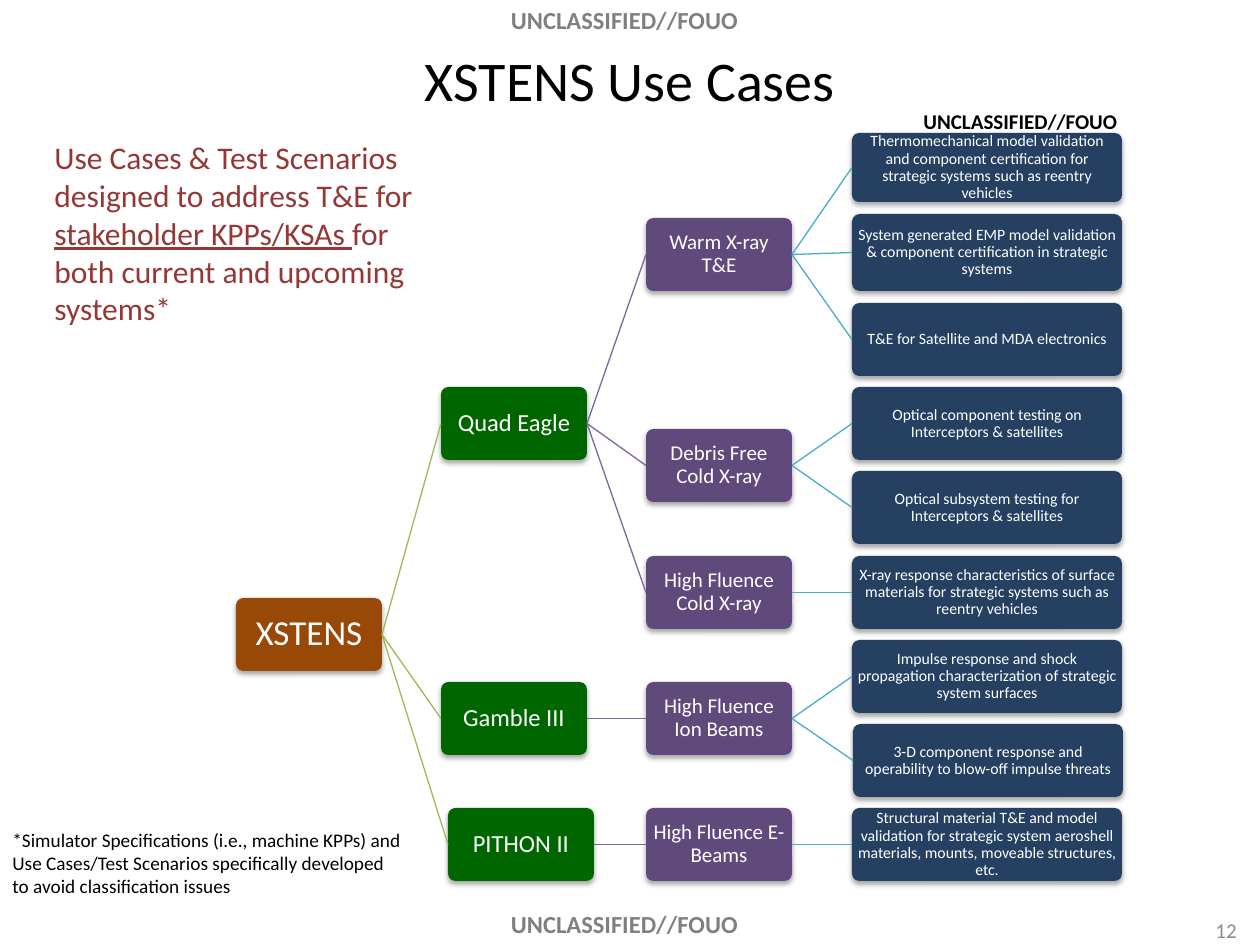
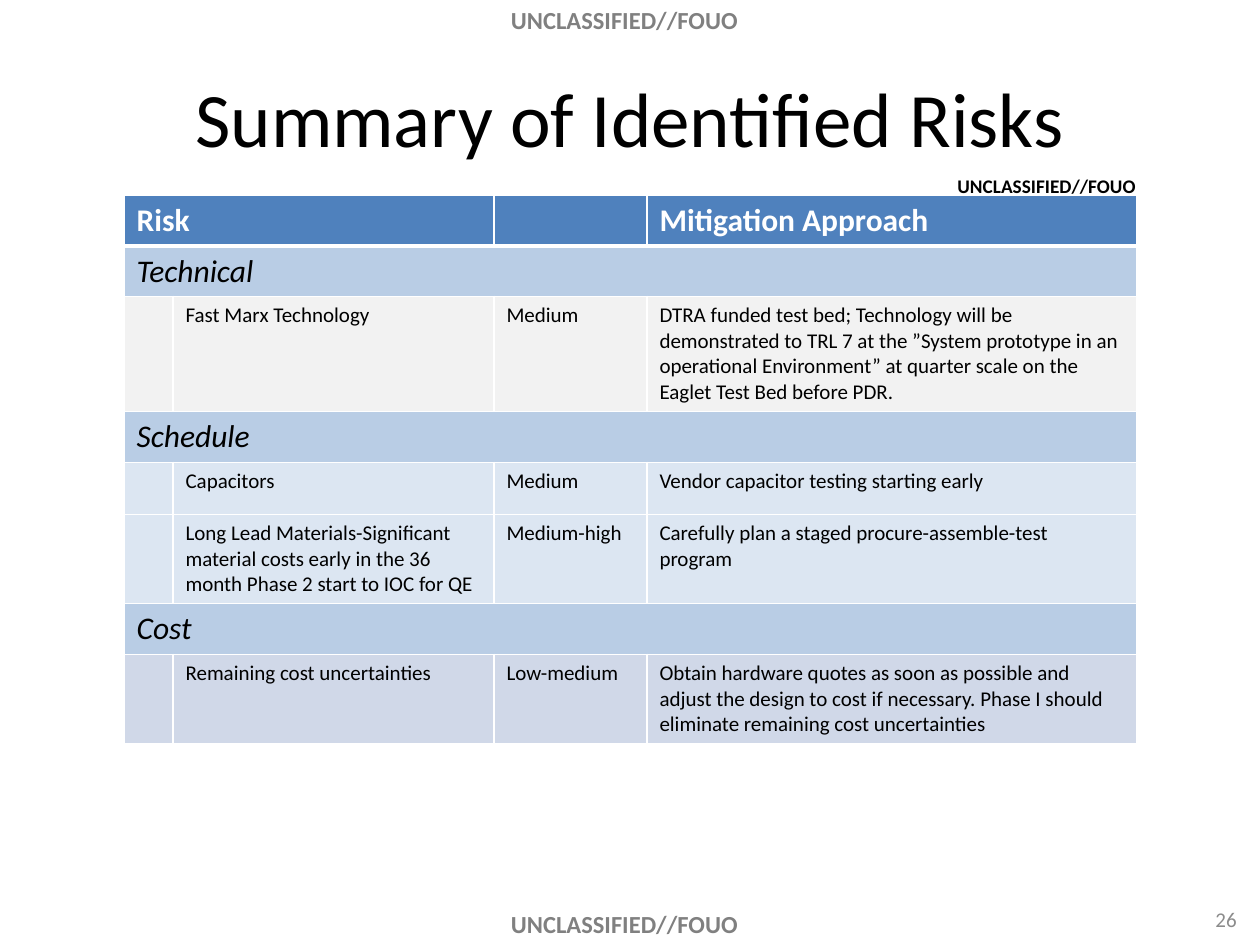
"""Build the use-case tree slide and the risk summary slide."""
from dataclasses import dataclass
from itertools import count
from typing import Any, Iterator, NamedTuple, Optional

from lxml.etree import SubElement
from pptx import Presentation
from pptx.dml.color import RGBColor
from pptx.enum.shapes import MSO_CONNECTOR, MSO_SHAPE
from pptx.enum.text import MSO_ANCHOR, PP_ALIGN
from pptx.oxml import parse_xml
from pptx.oxml.ns import nsdecls, qn
from pptx.util import Emu, Pt

FONT = "Calibri"
MARKING = "UNCLASSIFIED//FOUO"
BLACK = RGBColor(0x00, 0x00, 0x00)
WHITE = RGBColor(0xFF, 0xFF, 0xFF)
GRAY = RGBColor(0x80, 0x80, 0x80)
NUMBER_GRAY = RGBColor(0x8C, 0x8C, 0x8C)
MAROON = RGBColor(0x95, 0x37, 0x35)
BROWN = RGBColor(0x98, 0x48, 0x07)
GREEN = RGBColor(0x00, 0x66, 0x00)
PURPLE = RGBColor(0x60, 0x4A, 0x7B)
NAVY = RGBColor(0x25, 0x40, 0x61)
LIME_LINE = RGBColor(0x9B, 0xBB, 0x59)
VIOLET_LINE = RGBColor(0x80, 0x64, 0xA2)
AQUA_LINE = RGBColor(0x4B, 0xAC, 0xC6)
HEADER_BLUE = RGBColor(0x4F, 0x81, 0xBD)
SECTION_BLUE = RGBColor(0xB9, 0xCD, 0xE5)
PALE_GRAY = RGBColor(0xF2, 0xF2, 0xF2)
PALE_BLUE = RGBColor(0xDC, 0xE6, 0xF2)
PALE_VIOLET = RGBColor(0xD0, 0xD8, 0xE8)


class Box(NamedTuple):
    x: int
    y: int
    w: int
    h: int


class Level(NamedTuple):
    x: int
    w: int
    size: int
    fill: RGBColor
    line: Optional[RGBColor]


@dataclass(frozen=True)
class Node:
    text: str
    children: tuple["Node", ...] = ()
    dx: int = 0
    dy: int = 0
    dh: int = 0


class Row(NamedTuple):
    height: int
    fill: RGBColor
    cells: tuple[str, ...]


LEVELS = (
    Level(236, 146, 20, BROWN, None),
    Level(441, 146, 14, GREEN, LIME_LINE),
    Level(646, 146, 12, PURPLE, VIOLET_LINE),
    Level(852, 270, 9, NAVY, AQUA_LINE),
)
TREE_TOP, NODE_H, ROW_PITCH = 134, 73, 84.3

TREE = Node("XSTENS", (
    Node("Quad Eagle", (
        Node("Warm X-ray T&E", (
            Node("Thermomechanical model validation and component certification "
                 "for strategic systems such as reentry vehicles", dy=-1, dh=-4),
            Node("System generated EMP model validation & component "
                 "certification in strategic systems", dy=-4, dh=4),
            Node("T&E for Satellite and MDA electronics"),
        )),
        Node("Debris Free Cold X-ray", (
            Node("Optical component testing on Interceptors & satellites"),
            Node("Optical subsystem testing for Interceptors & satellites"),
        )),
        Node("High Fluence Cold X-ray", (
            Node("X-ray response characteristics of surface materials for "
                 "strategic systems such as reentry vehicles"),
        )),
    )),
    Node("Gamble III", (
        Node("High Fluence Ion Beams", (
            Node("Impulse response and shock propagation characterization of "
                 "strategic system surfaces"),
            Node("3-D component response and operability to blow-off impulse "
                 "threats", dx=1),
        )),
    )),
    Node("PITHON II", (
        Node("High Fluence E-Beams", (
            Node("Structural material T&E and model validation for strategic "
                 "system aeroshell materials, mounts, moveable structures, etc."),
        )),
    ), dx=7),
))

RISK_COLS = (49, 321, 153, 490)
RISK_ROWS = (
    Row(51, HEADER_BLUE, ("Risk", "", "", "Mitigation Approach")),
    Row(50, SECTION_BLUE, ("Technical",)),
    Row(115, PALE_GRAY, (
        "", "Fast Marx Technology", "Medium",
        "DTRA funded test bed; Technology will be demonstrated to TRL 7 at the "
        "”System prototype in an operational Environment” at quarter scale on "
        "the Eaglet Test Bed before PDR.")),
    Row(51, SECTION_BLUE, ("Schedule",)),
    Row(52, PALE_BLUE, ("", "Capacitors", "Medium",
                        "Vendor capacitor testing starting early")),
    Row(89, PALE_BLUE, (
        "", "Long Lead Materials-Significant material costs early in the 36 "
        "month Phase 2 start to IOC for QE", "Medium-high",
        "Carefully plan a staged procure-assemble-test program")),
    Row(51, SECTION_BLUE, ("Cost",)),
    Row(89, PALE_VIOLET, (
        "", "Remaining cost uncertainties", "Low-medium",
        "Obtain hardware quotes as soon as possible and adjust the design to "
        "cost if necessary. Phase I should eliminate remaining cost "
        "uncertainties")),
)


def px(n: float) -> Emu:
    """Turn px into EMU."""
    return Emu(round(n * 914400 / 126))


def apply(obj: Any, **values: Any) -> None:
    """Set each attribute in values on obj."""
    for name, value in values.items():
        setattr(obj, name, value)


def add_run(p: Any, text: str, size: int, color: RGBColor, **style: Any) -> None:
    """Append a formatted run to a paragraph."""
    r = p.add_run()
    r.text = text
    apply(r.font, name=FONT, size=Pt(size), **style)
    r.font.color.rgb = color


def add_text(s: Any, box: Box, text: str, size: int, color: RGBColor,
             align: PP_ALIGN = PP_ALIGN.LEFT,
             anchor: MSO_ANCHOR = MSO_ANCHOR.TOP, **style: Any) -> Any:
    """Add a wrapped text box and return its paragraph."""
    tf = s.shapes.add_textbox(*map(px, box)).text_frame
    apply(tf, word_wrap=True, vertical_anchor=anchor)
    p = tf.paragraphs[0]
    p.alignment = align
    add_run(p, text, size, color, **style)
    return p


def add_box(s: Any, kind: MSO_SHAPE, box: Box, fill: RGBColor) -> Any:
    """Add a filled shape without outline or shadow."""
    sp = s.shapes.add_shape(kind, *map(px, box))
    sp.fill.solid()
    sp.fill.fore_color.rgb = fill
    sp.line.fill.background()
    sp.shadow.inherit = False
    return sp


def add_slide(prs: Any, title: str, size: int, title_y: int, number: str,
              number_y: int) -> Any:
    """Add a title-only slide with marking bands and a number."""
    s = prs.slides.add_slide(prs.slide_layouts[5])
    sp = s.shapes.title
    apply(sp, left=px(63), top=px(title_y), width=px(1134), height=px(158))
    tf = sp.text_frame
    tf.vertical_anchor = MSO_ANCHOR.MIDDLE
    p = tf.paragraphs[0]
    p.alignment = PP_ALIGN.CENTER
    add_run(p, title, size, BLACK)
    for y in (-2, 902):
        band = add_box(s, MSO_SHAPE.RECTANGLE, Box(399, y, 451, 43), WHITE)
        p = band.text_frame.paragraphs[0]
        p.alignment = PP_ALIGN.CENTER
        add_run(p, MARKING, 14, GRAY, bold=True)
    add_text(s, Box(955, number_y, 294, 50), number, 12, NUMBER_GRAY,
             PP_ALIGN.RIGHT, MSO_ANCHOR.MIDDLE)
    return s


def add_shadow(sp: Any) -> None:
    """Give a shape a soft shadow below."""
    effects = sp._element.spPr.find(qn("a:effectLst"))
    effects.append(parse_xml(
        f'<a:outerShdw {nsdecls("a")} blurRad="39370" dist="22860" dir="5400000" '
        'rotWithShape="0"><a:srgbClr val="000000"><a:alpha val="35000"/>'
        '</a:srgbClr></a:outerShdw>'))


def link(s: Any, parent: Any, child: Any, color: RGBColor) -> None:
    """Join a parent's right side to a child's left side."""
    c = s.shapes.add_connector(MSO_CONNECTOR.STRAIGHT, 0, 0, 0, 0)
    c.begin_connect(parent, 3)
    c.end_connect(child, 1)
    c.line.color.rgb = color
    c.line.width = Pt(0.75)
    SubElement(c._element.spPr, qn("a:effectLst"))


def draw_node(s: Any, node: Node, depth: int,
              leaf_rows: Iterator[int]) -> tuple[Any, float]:
    """Draw a subtree and return its root shape and row."""
    level = LEVELS[depth]
    kids = [draw_node(s, k, depth + 1, leaf_rows) for k in node.children]
    row = (kids[0][1] + kids[-1][1]) / 2 if kids else next(leaf_rows)
    box = Box(level.x + node.dx, round(TREE_TOP + row * ROW_PITCH) + node.dy,
              level.w, NODE_H + node.dh)
    sp = add_box(s, MSO_SHAPE.ROUNDED_RECTANGLE, box, level.fill)
    sp.adjustments[0] = 0.1
    add_shadow(sp)
    tf = sp.text_frame
    apply(tf, word_wrap=True, vertical_anchor=MSO_ANCHOR.MIDDLE,
          margin_left=px(3), margin_right=px(3),
          margin_top=px(3), margin_bottom=px(3))
    p = tf.paragraphs[0]
    apply(p, alignment=PP_ALIGN.CENTER, line_spacing=0.9)
    add_run(p, node.text, level.size, WHITE)
    for kid, _ in kids:
        link(s, sp, kid, LEVELS[depth + 1].line)
    return sp, row


def set_borders(cell: Any, top: int, bottom: int) -> None:
    """Draw white borders around a cell."""
    tcPr = cell._tc.get_or_add_tcPr()
    for i, (side, width) in enumerate(
            {"L": 1, "R": 1, "T": top, "B": bottom}.items()):
        tcPr.insert(i, parse_xml(
            f'<a:ln{side} {nsdecls("a")} w="{Pt(width)}"><a:solidFill>'
            f'<a:srgbClr val="{WHITE}"/></a:solidFill></a:ln{side}>'))


def add_risk_table(s: Any) -> None:
    """Add the table of risks and mitigations."""
    box = Box(124, 195, sum(RISK_COLS), sum(row.height for row in RISK_ROWS))
    tbl = s.shapes.add_table(len(RISK_ROWS), len(RISK_COLS), *map(px, box)).table
    apply(tbl, first_row=False, horz_banding=False)
    for col, w in zip(tbl.columns, RISK_COLS):
        col.width = px(w)
    tbl.cell(0, 0).merge(tbl.cell(0, 1))
    for i, row in enumerate(RISK_ROWS):
        tbl.rows[i].height = px(row.height)
        header, section = i == 0, len(row.cells) == 1
        if section:
            tbl.cell(i, 0).merge(tbl.cell(i, len(RISK_COLS) - 1))
        for j in range(len(RISK_COLS)):
            cell = tbl.cell(i, j)
            cell.fill.solid()
            cell.fill.fore_color.rgb = row.fill
            if not cell.is_spanned:
                set_borders(cell, 3 if i == 1 else 1, 3 if header else 1)
        for j, text in enumerate(row.cells):
            if text:
                add_run(tbl.cell(i, j).text_frame.paragraphs[0], text,
                        18 if header or section else 12,
                        WHITE if header else BLACK, bold=header, italic=section)


def build_use_cases(prs: Any) -> None:
    """Build the use-case tree slide."""
    s = add_slide(prs, "XSTENS Use Cases", 32, 0, "12", 905)
    draw_node(s, TREE, 0, count())
    p = add_text(s, Box(42, 132, 417, 204),
                 "Use Cases & Test Scenarios designed to address T&E for ", 18, MAROON)
    add_run(p, "stakeholder KPPs/KSAs ", 18, MAROON, underline=True)
    add_run(p, "for both current and upcoming systems*", 18, MAROON)
    add_text(s, Box(0, 822, 417, 83),
             "*Simulator Specifications (i.e., machine KPPs) and Use Cases/Test "
             "Scenarios specifically developed to avoid classification issues",
             11, BLACK)
    add_text(s, Box(911, 102, 224, 38), MARKING, 12, BLACK, bold=True)


def build_risks(prs: Any) -> None:
    """Build the risk summary slide."""
    s = add_slide(prs, "Summary of Identified Risks", 44, 38, "26", 894)
    add_risk_table(s)
    add_text(s, Box(945, 168, 232, 36), MARKING, 11, BLACK, bold=True)


def main() -> None:
    """Build and save the presentation."""
    prs = Presentation()
    apply(prs, slide_width=px(1260), slide_height=px(945))
    build_use_cases(prs)
    build_risks(prs)
    prs.save("out.pptx")


if __name__ == "__main__":
    main()
